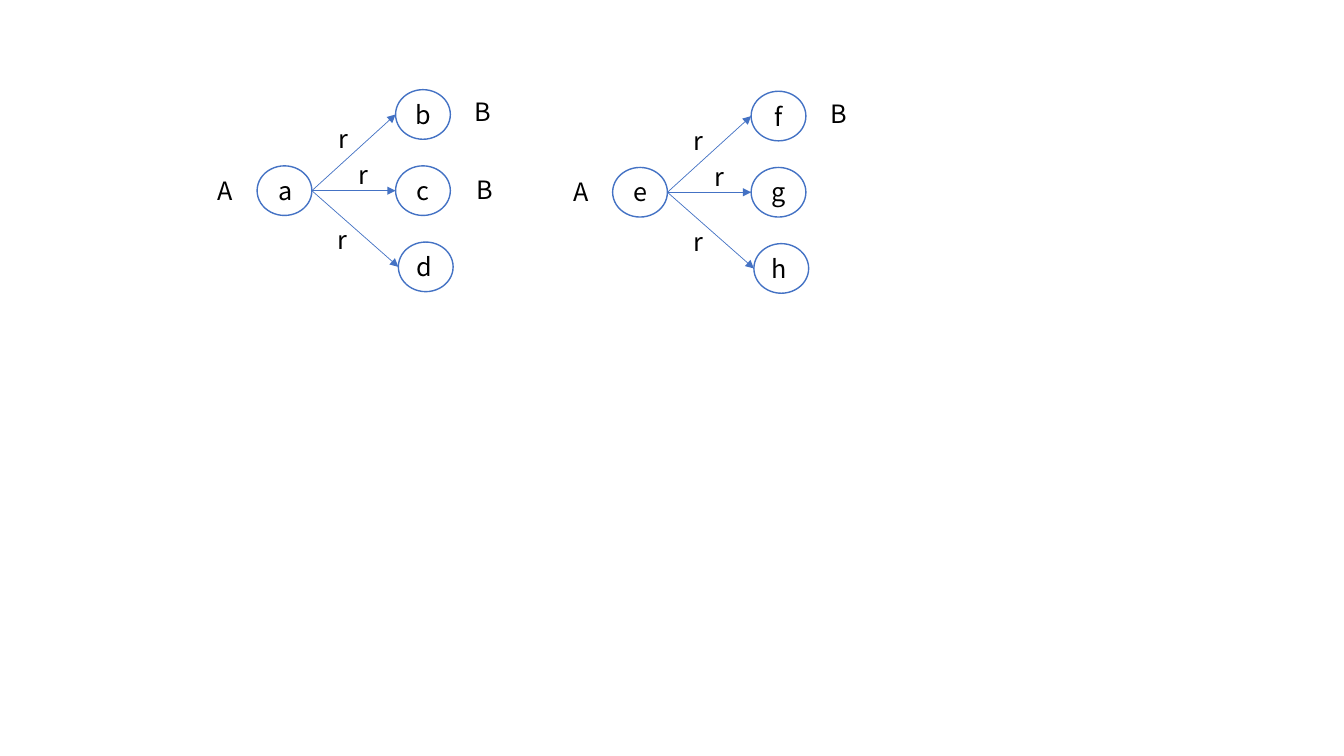
"""Build a slide with two trees of r-successors and their concept labels."""
from dataclasses import dataclass

from lxml import etree
from pptx import Presentation
from pptx import util as u
from pptx.dml.color import RGBColor
from pptx.enum import shapes, text
from pptx.oxml.ns import qn

COLORS = {"node": "FFFFFF", "line": "4472C4", "text": "000000"}
FONT = "Noto Sans CJK SC"
NODE_W, NODE_H = 1.38, 1.25
LABEL_W, LABEL_H = 1.75, 1.03
ROW = 1.92


@dataclass(frozen=True)
class Label:
    text: str
    x: float
    y: float


@dataclass(frozen=True)
class Tree:
    x: float
    y: float
    root: str
    top: str
    middle: str
    bottom: str
    concepts: tuple[Label, ...]


CHILDREN = ((3.49, -ROW), (3.49, 0), (3.56, ROW))
COMMON_LABELS = (
    Label("r", 1.8, -1.19),
    Label("r", 2.31, -0.29),
    Label("r", 1.78, 1.36),
    Label("A", -1.24, 0.11),
    Label("B", 5.23, -1.87),
)
TREES = (
    Tree(6.48, 4.18, "a", "b", "c", "d", (Label("B", 5.28, 0.09),)),
    Tree(15.44, 4.22, "e", "f", "g", "h", ()),
)


def color(key: str) -> RGBColor:
    return RGBColor.from_string(COLORS[key])


def add_run(p, content: str) -> None:
    r = p.add_run()
    r.text = content
    r.font.name = FONT
    r.font.size = u.Pt(18)
    r.font.color.rgb = color("text")


def add_node(s, x: float, y: float, name: str = "") -> None:
    sp = s.shapes.add_shape(shapes.MSO_SHAPE.OVAL, u.Cm(x), u.Cm(y), u.Cm(NODE_W), u.Cm(NODE_H))
    sp.shadow.inherit = False
    sp.fill.solid()
    sp.fill.fore_color.rgb = color("node")
    sp.line.color.rgb = color("line")
    sp.line.width = u.Pt(1)
    if name:
        tf = sp.text_frame
        tf.vertical_anchor = text.MSO_ANCHOR.MIDDLE
        p = tf.paragraphs[0]
        p.alignment = text.PP_ALIGN.CENTER
        add_run(p, name)


def add_arrow(s, x1: float, y1: float, x2: float, y2: float) -> None:
    cx = s.shapes.add_connector(
        shapes.MSO_CONNECTOR.STRAIGHT, u.Cm(x1), u.Cm(y1), u.Cm(x2), u.Cm(y2))
    cx.line.color.rgb = color("line")
    cx.line.width = u.Pt(0.5)
    etree.SubElement(cx.line._get_or_add_ln(), qn("a:tailEnd"), type="triangle")
    etree.SubElement(cx._element.spPr, qn("a:effectLst"))


def add_label(s, x: float, y: float, content: str) -> None:
    tf = s.shapes.add_textbox(u.Cm(x), u.Cm(y), u.Cm(LABEL_W), u.Cm(LABEL_H)).text_frame
    tf.word_wrap = True
    tf.auto_size = text.MSO_AUTO_SIZE.SHAPE_TO_FIT_TEXT
    add_run(tf.paragraphs[0], content)


def add_tree(s, tree: Tree) -> None:
    add_node(s, tree.x, tree.y)
    for (dx, dy), name in zip(CHILDREN, (tree.top, "", "")):
        add_node(s, tree.x + dx, tree.y + dy, name)
    mid = tree.y + NODE_H / 2
    for dx, dy in CHILDREN:
        add_arrow(s, tree.x + NODE_W, mid, tree.x + dx, mid + dy)
    names = (
        Label(tree.root, 0.28, 0.11),
        Label(tree.middle, 3.76, 0.11),
        Label(tree.bottom, 3.76, 0.11 + ROW),
    )
    for label in names + COMMON_LABELS + tree.concepts:
        add_label(s, tree.x + label.x, tree.y + label.y, label.text)


def main() -> None:
    prs = Presentation()
    prs.slide_width, prs.slide_height = u.Cm(33.87), u.Cm(19.05)
    s = prs.slides.add_slide(prs.slide_layouts[6])
    for tree in TREES:
        add_tree(s, tree)
    prs.save("out.pptx")


if __name__ == "__main__":
    main()
